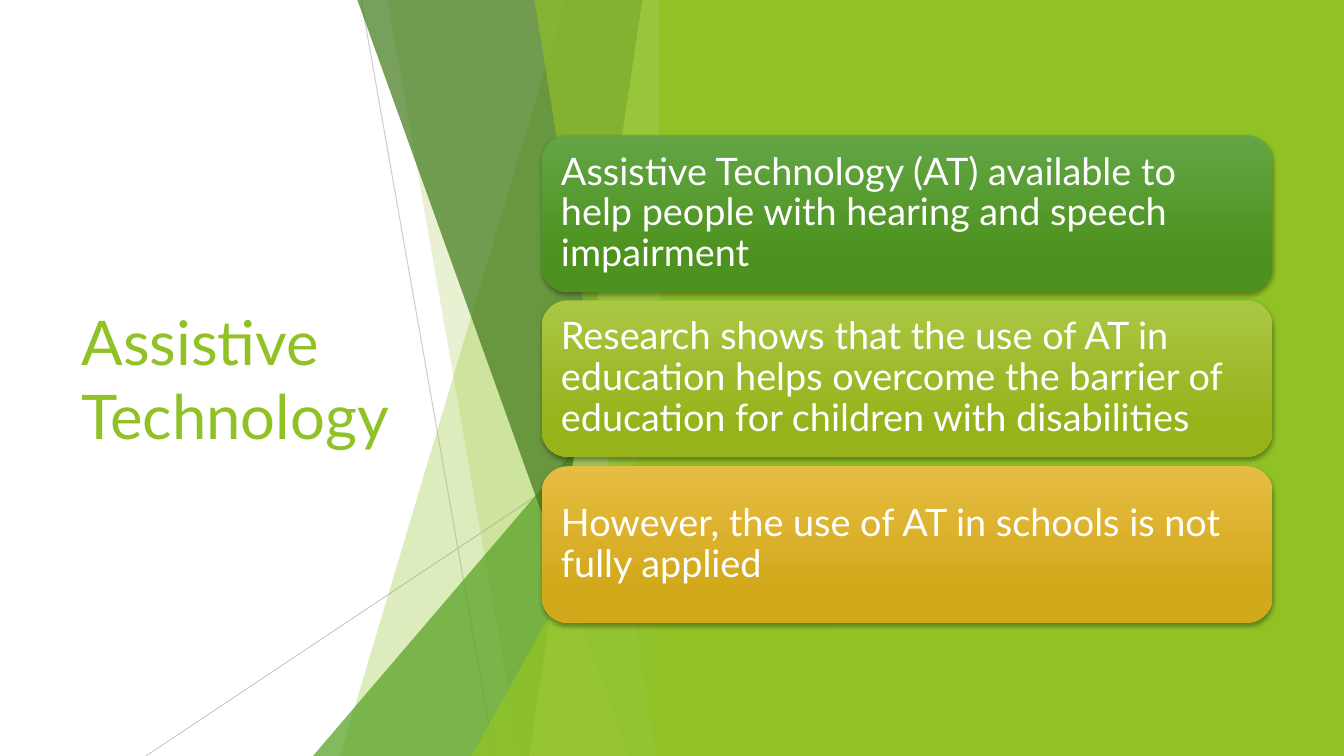
from pptx import Presentation
from pptx.dml.color import RGBColor
from pptx.enum.shapes import MSO_CONNECTOR, MSO_SHAPE
from pptx.enum.text import MSO_ANCHOR, PP_ALIGN
from pptx.oxml.ns import qn
from pptx.util import Pt
from lxml import etree

PX = 9525  # EMU per px, 96 px to the inch
SLIDE_W, SLIDE_H = 1280, 720
FONT = "Lato"

STRAIGHT = MSO_CONNECTOR.STRAIGHT
RECT = MSO_SHAPE.RECTANGLE
ROUND_RECT = MSO_SHAPE.ROUNDED_RECTANGLE
TRIANGLE = MSO_SHAPE.ISOSCELES_TRIANGLE
MIDDLE = MSO_ANCHOR.MIDDLE
LEFT = PP_ALIGN.LEFT

WHITE = RGBColor(0xFF, 0xFF, 0xFF)
BLACK = RGBColor(0x00, 0x00, 0x00)
GREY = RGBColor(0xBF, 0xBF, 0xBF)
LIME = RGBColor(0x90, 0xC2, 0x26)
GREEN = RGBColor(0x54, 0xA0, 0x21)
DARK_GREEN = RGBColor(0x3F, 0x78, 0x19)
PALE_LIME = RGBColor(0xC0, 0xE4, 0x74)

CARDS = [
    ("Assistive Technology (AT) available to help people with hearing and speech impairment",
     RGBColor(0x63, 0xA5, 0x45), RGBColor(0x4D, 0x92, 0x1E)),
    ("Research shows that the use of AT in education helps overcome the barrier of "
     "education for children with disabilities",
     RGBColor(0xAA, 0xC7, 0x44), RGBColor(0x97, 0xB3, 0x1C)),
    ("However, the use of AT in schools is not fully applied",
     RGBColor(0xE7, 0xBC, 0x43), RGBColor(0xD2, 0xA9, 0x1B)),
]
CARD_X, CARD_Y, CARD_W, CARD_H = 516, 129, 696, 149
CARD_PITCH_X2 = 315  # twice the distance between card tops


def px(*lengths):
    return [n * PX for n in lengths]


def add_alpha(parent, percent):
    """Make the first RGB colour under parent partly transparent."""
    color = next(parent.iter(qn("a:srgbClr")))
    etree.SubElement(color, qn("a:alpha"), val=str(percent * 1000))


def paint(sp, color, opacity=100):
    sp.shadow.inherit = False
    sp.line.fill.background()
    sp.fill.solid()
    sp.fill.fore_color.rgb = color
    if opacity < 100:
        add_alpha(sp._element.spPr, opacity)


def write_text(sp, text, size, color, inset=None, line_spacing=None):
    tf = sp.text_frame
    tf.word_wrap = True
    tf.vertical_anchor = MIDDLE
    if inset is not None:
        tf.margin_left = tf.margin_right = tf.margin_top = tf.margin_bottom = inset * PX
    p = tf.paragraphs[0]
    p.alignment = LEFT
    p.line_spacing = line_spacing
    r = p.add_run()
    r.text = text
    r.font.name = FONT
    r.font.size = Pt(size)
    r.font.color.rgb = color


def add_hairline(slide, x1, y1, x2, y2, opacity):
    line = slide.shapes.add_connector(STRAIGHT, *px(x1, y1, x2, y2))
    line.line.color.rgb = GREY
    line.line.width = Pt(0.75)
    spPr = line._element.spPr
    add_alpha(spPr, opacity)
    etree.SubElement(spPr, qn("a:effectLst"))


def add_facet(slide, top_x, bottom_x, color, opacity):
    """Full-height facet with a slanted left edge and an upright right edge."""
    right, top = 639, -1
    builder = slide.shapes.build_freeform(top_x, top, scale=PX)
    builder.add_line_segments([(right, top), (right, SLIDE_H), (bottom_x, SLIDE_H)])
    paint(builder.convert_to_shape(), color, opacity)


def add_corner(slide, x, y, w, h, color, opacity):
    """Right triangle with its peak above its right end."""
    sp = slide.shapes.add_shape(TRIANGLE, *px(x, y, w, h))
    sp.adjustments[0] = 1
    paint(sp, color, opacity)


def add_soft_shadow(sp):
    sp.shadow.inherit = False
    effects = sp._element.spPr.find(qn("a:effectLst"))
    shadow = etree.SubElement(effects, qn("a:outerShdw"), blurRad=str(Pt(3)),
                              dist=str(Pt(2)), dir="5400000", rotWithShape="0")
    etree.SubElement(shadow, qn("a:srgbClr"), val=str(BLACK))
    add_alpha(shadow, 35)


def add_card(slide, y, text, top_color, bottom_color):
    sp = slide.shapes.add_shape(ROUND_RECT, *px(CARD_X, y, CARD_W, CARD_H))
    sp.line.fill.background()
    sp.fill.gradient()
    sp.fill.gradient_angle = 270
    stops = zip(sp.fill.gradient_stops, (0, 0.78), (top_color, bottom_color))
    for stop, position, color in stops:
        stop.position = position
        stop.color.rgb = color
    add_soft_shadow(sp)
    write_text(sp, text, 27, WHITE, inset=11, line_spacing=0.9)


def add_facets(slide):
    add_hairline(slide, 344, 0, 471, SLIDE_H, 75)
    add_hairline(slide, 639, 387, 139, SLIDE_H, 80)
    add_facet(slide, 539, 324, LIME, 30)
    add_facet(slide, 369, 495, LIME, 20)
    add_corner(slide, 298, 320, 342, 400, GREEN, 72)
    add_facet(slide, 340, 599, DARK_GREEN, 70)
    add_facet(slide, 612, 504, PALE_LIME, 70)
    add_facet(slide, 509, 625, LIME, 65)
    add_corner(slide, 449, 377, 191, 343, LIME, 80)


def main():
    prs = Presentation()
    prs.slide_width, prs.slide_height = px(SLIDE_W, SLIDE_H)
    slide = prs.slides.add_slide(prs.slide_layouts[6])

    title = slide.shapes.add_textbox(*px(68, 145, 372, 430))
    write_text(title, "Assistive Technology", 44, LIME)

    add_facets(slide)
    panel = slide.shapes.add_shape(RECT, *px(628, 0, 652, SLIDE_H))
    paint(panel, LIME)

    for i, card in enumerate(CARDS):
        add_card(slide, CARD_Y + i * CARD_PITCH_X2 // 2, *card)

    prs.save("out.pptx")


if __name__ == "__main__":
    main()
